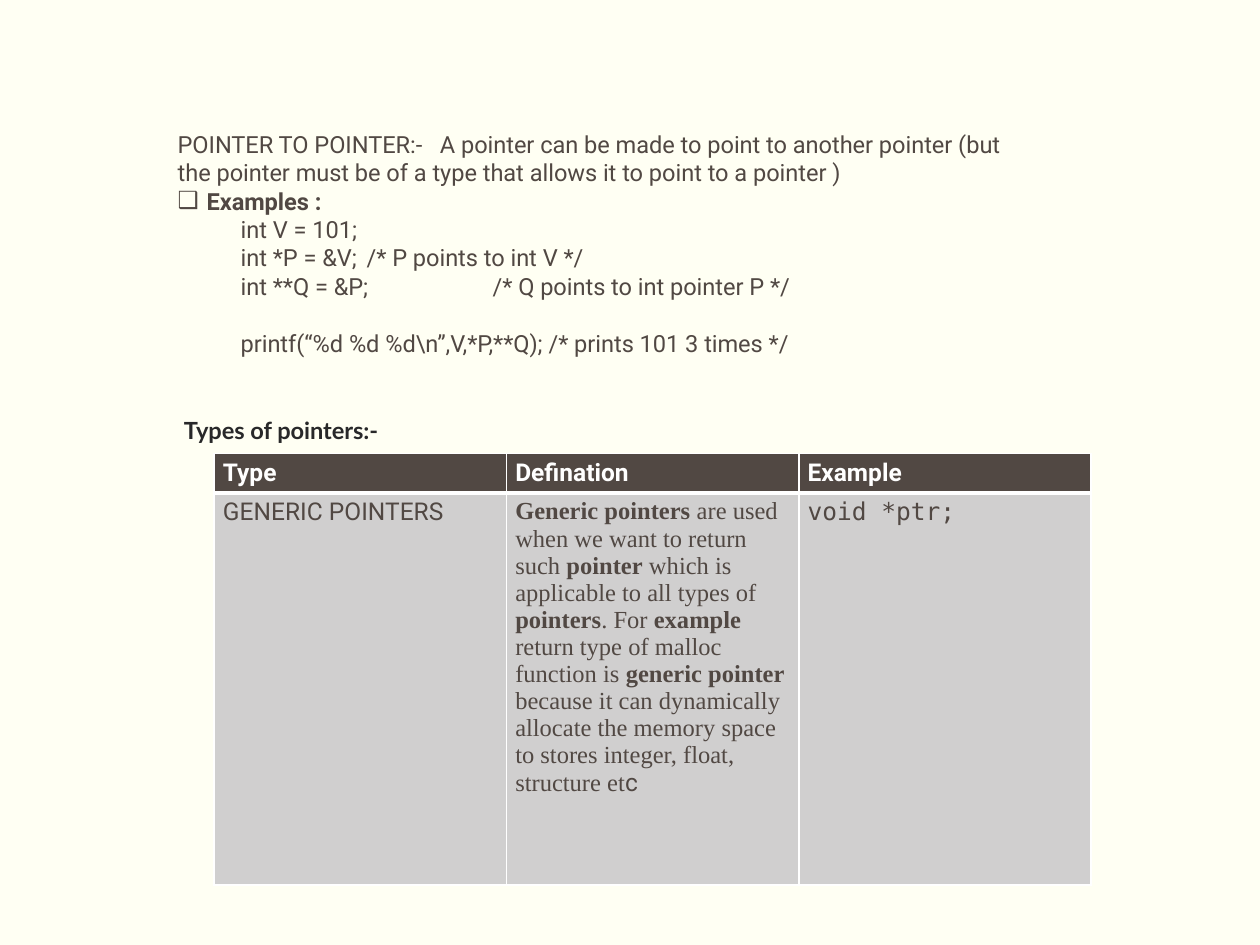
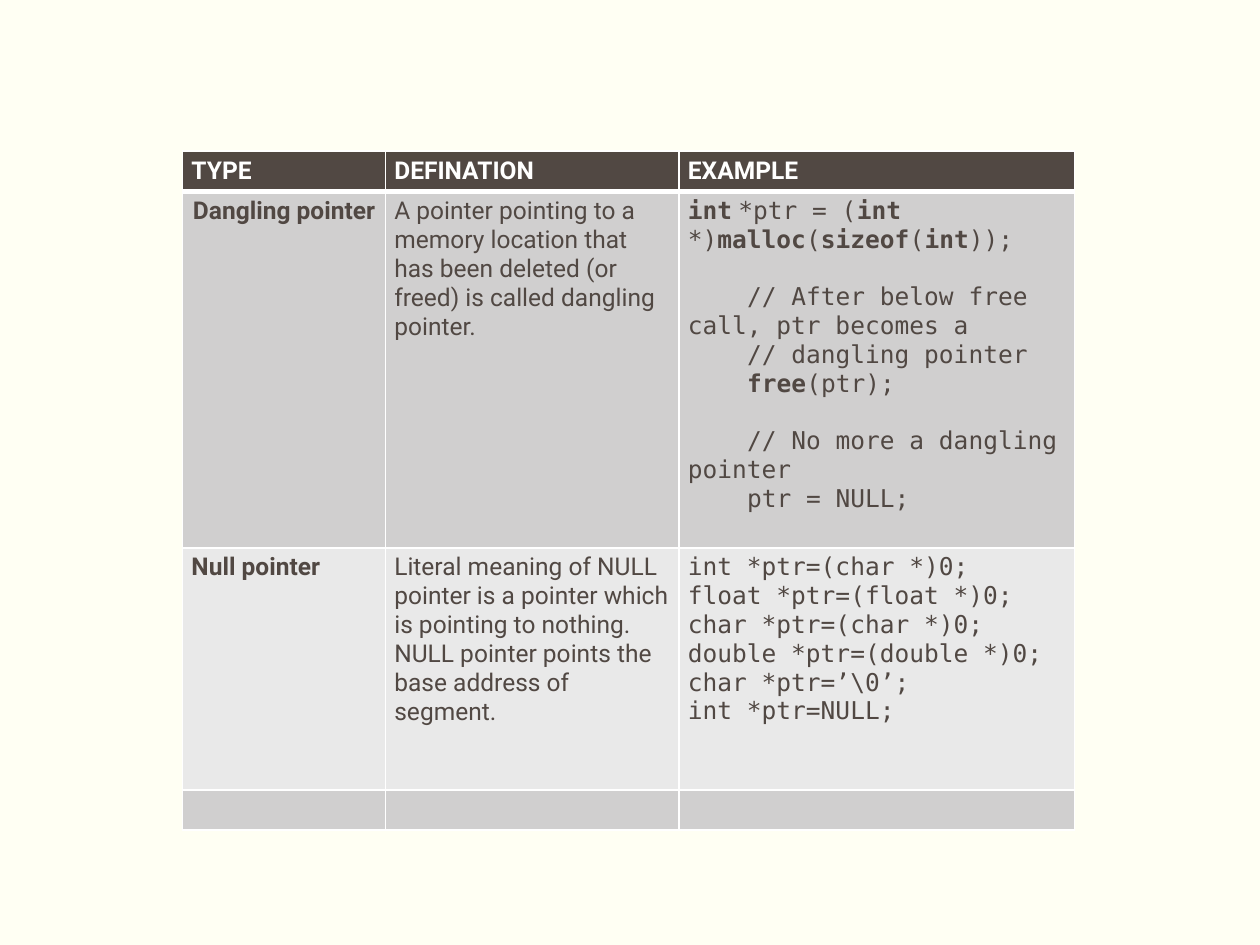
from dataclasses import dataclass

from lxml import etree
from pptx import Presentation
from pptx.dml.color import RGBColor
from pptx.enum.text import MSO_AUTO_SIZE, PP_ALIGN
from pptx.oxml.ns import qn
from pptx.util import Inches, Pt

CREAM = RGBColor(0xFF, 0xFF, 0xF3)
BROWN = RGBColor(0x51, 0x48, 0x43)
CHARCOAL = RGBColor(0x28, 0x28, 0x29)
WHITE = RGBColor(0xFF, 0xFF, 0xFF)
DARK_BAND = RGBColor(0xD0, 0xCF, 0xCF)
LIGHT_BAND = RGBColor(0xE9, 0xE9, 0xE9)

BODY_FONT = "Roboto"
HEADING_FONT = "Lato"
SERIF_FONT = "Times New Roman"
CODE_FONT = "DejaVu Sans Mono"

TABLE_SIZE = 14
PROSE_SIZE = 13.5
LINE_GAP = 16.4
CODE_INDENT = 0.47
TAB_WIDTH = 1
PAD_X, PAD_Y = Inches(0.07), Inches(0.04)


@dataclass
class Line:
    """One paragraph; text between bars is bold, between carets in the body font."""
    text: str
    font: str = BODY_FONT
    color: RGBColor = BROWN
    size: float = TABLE_SIZE
    gap: float = 0
    left: float = 0
    first: float = 0
    align: PP_ALIGN = PP_ALIGN.LEFT


def code(text, gap=0, first=0):
    return Line(text, CODE_FONT, gap=gap, first=first)


def prose(text, gap=0, left=0, first=0):
    return Line(text, size=PROSE_SIZE, gap=gap, left=left, first=first)


def split_runs(line):
    """Yield the text, font and boldness of each run of a line."""
    for b, part in enumerate(line.text.split("|")):
        for f, piece in enumerate(part.split("^")):
            if piece:
                yield piece, BODY_FONT if f % 2 else line.font, b % 2 == 1


def write_lines(frame, lines):
    for number, line in enumerate(lines):
        paragraph = frame.add_paragraph() if number else frame.paragraphs[0]
        paragraph.alignment = line.align
        paragraph.space_before = Pt(line.gap)
        properties = paragraph._p.get_or_add_pPr()
        properties.set("marL", str(Inches(line.left)))
        properties.set("indent", str(Inches(line.first)))
        properties.set("defTabSz", str(Inches(TAB_WIDTH)))
        for text, font, bold in split_runs(line):
            run = paragraph.add_run()
            run.text = text
            run.font.name = font
            run.font.size = Pt(line.size)
            run.font.bold = bold
            run.font.color.rgb = line.color


def add_text(slide, box, lines):
    frame = slide.shapes.add_textbox(*map(Inches, box)).text_frame
    frame.word_wrap = True
    frame.auto_size = MSO_AUTO_SIZE.SHAPE_TO_FIT_TEXT
    frame.margin_left = frame.margin_right = PAD_X
    frame.margin_top = frame.margin_bottom = PAD_Y
    write_lines(frame, lines)
    return frame


def add_borders(cell, top, bottom):
    properties = cell._tc.get_or_add_tcPr()
    for side, width in (("L", 1), ("R", 1), ("T", top), ("B", bottom)):
        border = etree.SubElement(properties, qn(f"a:ln{side}"), w=str(Pt(width)))
        fill = etree.SubElement(border, qn("a:solidFill"))
        etree.SubElement(fill, qn("a:srgbClr"), val=str(WHITE))


def add_pointer_table(slide, left, top, widths, heights, headings, rows):
    table = slide.shapes.add_table(
        len(heights), len(widths), Inches(left), Inches(top),
        Inches(sum(widths)), Inches(sum(heights))).table
    for column, width in zip(table.columns, widths):
        column.width = Inches(width)
    for row, height in zip(table.rows, heights):
        row.height = Inches(height)

    header = [[Line(f"|{heading}|", color=WHITE)] for heading in headings]
    for r, contents in enumerate([header, *rows]):
        for c, lines in enumerate(contents):
            cell = table.cell(r, c)
            add_borders(cell, top=3 if r == 1 else 1, bottom=3 if r == 0 else 1)
            cell.fill.solid()
            cell.fill.fore_color.rgb = (
                BROWN if r == 0 else DARK_BAND if r % 2 else LIGHT_BAND)
            cell.margin_left = cell.margin_right = PAD_X
            cell.margin_top = cell.margin_bottom = PAD_Y
            write_lines(cell.text_frame, lines)
            if not lines:
                etree.SubElement(cell.text_frame.paragraphs[0]._p,
                                 qn("a:endParaRPr"), sz=str(TABLE_SIZE * 100))


def add_pointer_to_pointer(slide, box):
    frame = add_text(slide, box, [
        prose("POINTER TO POINTER:-   A pointer can be made to point to another "
              "pointer (but the pointer must be of a type that allows it to "
              "point to a pointer )"),
        prose("|Examples :|", left=0.23, first=-0.23),
        prose("int V = 101;", left=0.5),
        prose("int *P = &V;\t/* P points to int V */", left=0.5),
        prose("int **Q = &P;\t/* Q points to int pointer P */", left=0.5),
        prose("printf(“%d %d %d\\n”,V,*P,**Q); /* prints 101 3 times */",
              gap=LINE_GAP, left=0.5),
    ])
    examples = frame.paragraphs[1]._p.get_or_add_pPr()
    etree.SubElement(examples, qn("a:buFont"), typeface=BODY_FONT)
    etree.SubElement(examples, qn("a:buChar"), char="❑")


def build_generic_slide(slide):
    add_pointer_to_pointer(slide, (1.34, 0.99, 6.93, 2.12))
    add_text(slide, (1.39, 3.26, 4.74, 0.3), [
        Line("|Types of pointers:-|", HEADING_FONT, CHARCOAL, PROSE_SIZE)])
    definition = Line(
        "|Generic pointers| are used when we want to return such |pointer| "
        "which is applicable to all types of |pointers|. For |example| return "
        "type of malloc function is |generic pointer| because it can "
        "dynamically allocate the memory space to stores integer, float, "
        "structure et^c^", SERIF_FONT)
    add_pointer_table(
        slide, 1.7, 3.6, [2.32] * 3, [0.31, 3.11],
        ["Type", "Defination", "Example"],
        [[[Line("GENERIC POINTERS")], [definition], [code("void *ptr;")]]])


def build_dangling_and_null_slide(slide):
    dangling = [
        [Line("|Dangling pointer|", align=PP_ALIGN.CENTER)],
        [Line("A pointer pointing to a memory location that has been deleted "
              "(or freed) is called dangling pointer.")],
        [code("|int^ ^|*ptr = (|int |*)|malloc|(|sizeof|(|int|));"),
         code("// After below free call, ptr becomes a", LINE_GAP, CODE_INDENT),
         code("// dangling pointer", first=CODE_INDENT),
         code("|free|(ptr);", first=CODE_INDENT),
         code("// No more a dangling pointer", LINE_GAP, CODE_INDENT),
         code("ptr = NULL;", first=CODE_INDENT)],
    ]
    null = [
        [Line("|Null pointer|")],
        [Line("Literal meaning of NULL pointer is a pointer which is pointing "
              "to nothing. NULL pointer points the base address of segment.")],
        [code(text) for text in (
            "int *ptr=(char *)0;", "float *ptr=(float *)0;",
            "char *ptr=(char *)0;", "double *ptr=(double *)0;",
            "char *ptr=’\\0’;", "int *ptr=NULL;")],
    ]
    add_pointer_table(
        slide, 1.45, 1.2, [1.61, 2.33, 3.14], [0.32, 2.83, 1.92, 0.32],
        ["TYPE", "DEFINATION", "EXAMPLE"], [dangling, null, [[], [], []]])


def main():
    deck = Presentation()
    deck.slide_width, deck.slide_height = Inches(10), Inches(7.5)
    background = deck.slide_master.background.fill
    background.solid()
    background.fore_color.rgb = CREAM
    for build in (build_generic_slide, build_dangling_and_null_slide):
        build(deck.slides.add_slide(deck.slide_layouts[6]))
    deck.save("out.pptx")


if __name__ == "__main__":
    main()
